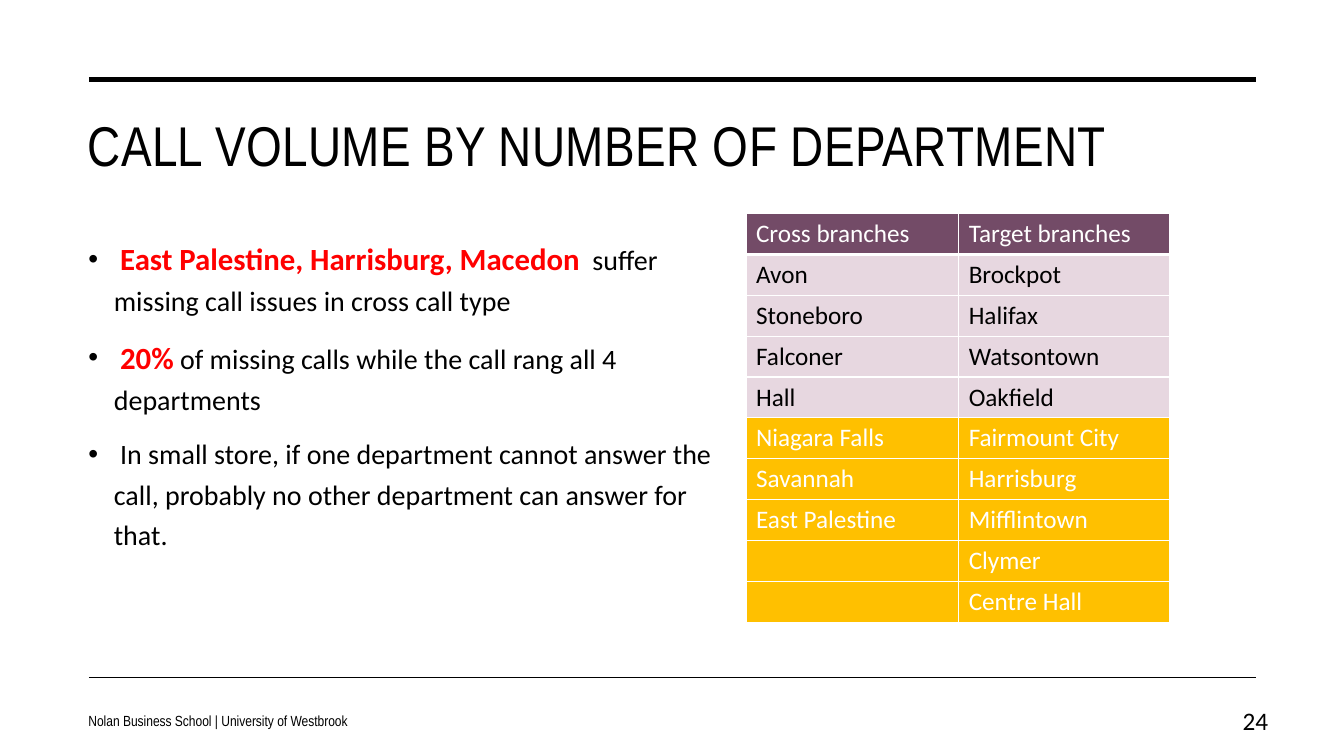
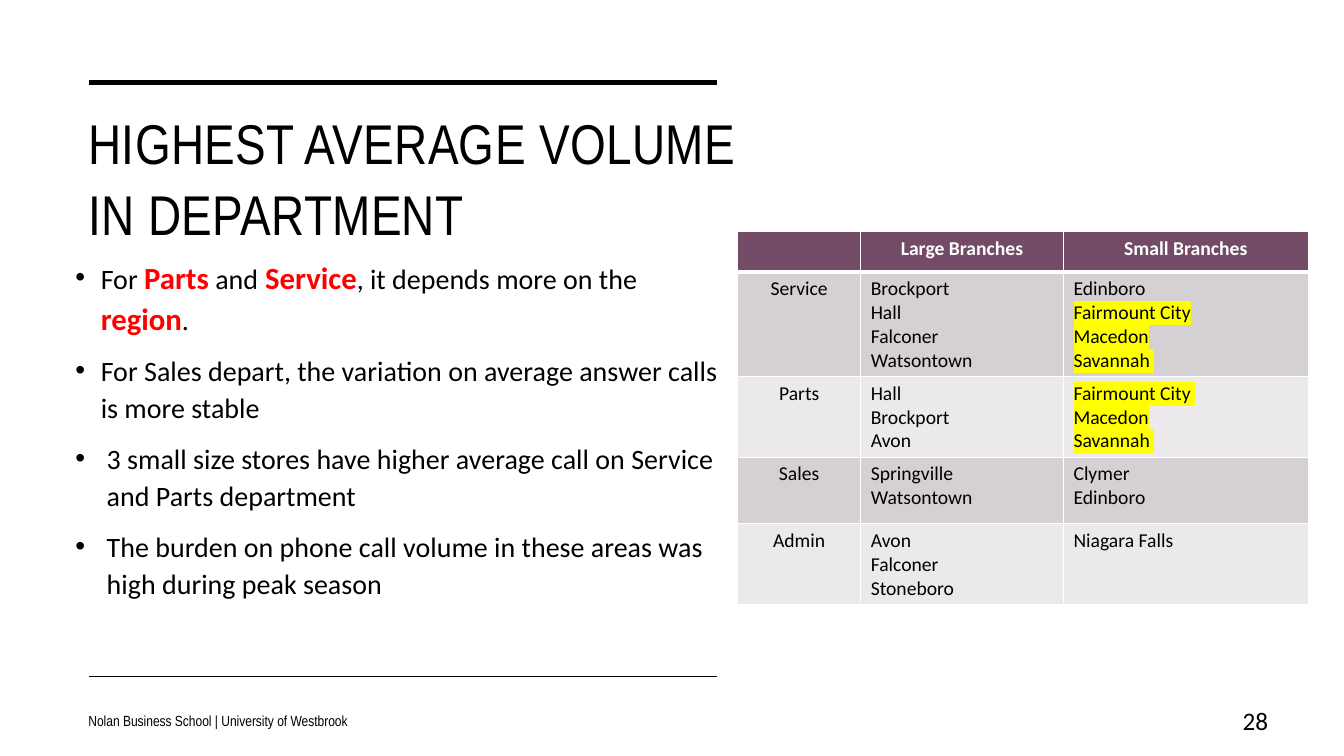
from dataclasses import dataclass

import pptx
import pptx.dml.color
import pptx.enum.shapes
import pptx.enum.text
import pptx.oxml
import pptx.oxml.ns
import pptx.util
from pptx.util import Cm, Pt

COLORS = {
    "ink": "000000",
    "paper": "FFFFFF",
    "alert": "FF0000",
    "marker": "FFFF00",
    "plum": "734B67",
    "pink": "E7D7E0",
    "amber": "FFC000",
    "mauve": "D5D0D3",
    "mist": "EBE9EB",
}
HEADING_FONT = "Arial Narrow"
TEXT_FONT = "Calibri"
INSTITUTION = "Nolan Business School | University of Westbrook"
RULE_LEFT = 2.24
FOOTER_TOP, FOOTER_HEIGHT = 17.65, 1.02
ALIGN = pptx.enum.text.PP_ALIGN


@dataclass(frozen=True)
class Box:
    """A frame in centimetres."""
    left: float
    top: float
    width: float
    height: float

    def lengths(self) -> tuple:
        return Cm(self.left), Cm(self.top), Cm(self.width), Cm(self.height)


@dataclass(frozen=True)
class Bullet:
    text: str
    indent: float = 0.64


@dataclass(frozen=True)
class Row:
    cells: tuple[str, ...]
    fill: str
    ink: str = "ink"
    height: float = 1.03


@dataclass(frozen=True)
class BranchTable:
    left: float
    top: float
    columns: tuple[float, ...]
    rows: tuple[Row, ...]
    size: float
    bold_header: bool = False
    centred_labels: bool = False


@dataclass(frozen=True)
class Page:
    number: int
    title: str
    title_box: Box
    rule_right: float
    rule_tops: tuple[float, float]
    bullets: tuple[Bullet, ...]
    bullet_box: Box
    line_spacing: float
    table: BranchTable


def rgb(name: str) -> pptx.dml.color.RGBColor:
    return pptx.dml.color.RGBColor.from_string(COLORS[name])


def add_xml(parent, markup: str) -> None:
    """Append an element of the drawing namespace, given without its declaration."""
    tag, rest = markup[:markup.index(" ")], markup[markup.index(" "):]
    parent.append(pptx.oxml.parse_xml(f"{tag} {pptx.oxml.ns.nsdecls('a')}{rest}"))


def set_font(font, face: str, size: float, color: str = "ink", bold: bool = False) -> None:
    font.name, font.size, font.bold = face, Pt(size), bold
    font.color.rgb = rgb(color)


def emphasise(run) -> None:
    set_font(run.font, TEXT_FONT, 22, "alert", True)


def highlight(run) -> None:
    add_xml(run._r.get_or_add_rPr(),
            f'<a:highlight ><a:srgbClr val="{COLORS["marker"]}"/></a:highlight>')


def write_marked(paragraph, text: str, mark) -> None:
    """Write runs, applying mark to the parts between asterisks."""
    for index, part in enumerate(text.split("*")):
        if part:
            run = paragraph.add_run()
            run.text = part
            if index % 2:
                mark(run)


def add_frame(slide, box: Box):
    frame = slide.shapes.add_textbox(*box.lengths()).text_frame
    frame.word_wrap = True
    return frame


def add_rule(slide, right: float, top: float, weight: float) -> None:
    rule = slide.shapes.add_connector(
        pptx.enum.shapes.MSO_CONNECTOR.STRAIGHT, Cm(RULE_LEFT), Cm(top), Cm(right), Cm(top))
    rule.line.color.rgb = rgb("ink")
    rule.line.width = Pt(weight)
    add_xml(rule._element.spPr, "<a:effectLst />")


def add_title(slide, text: str, box: Box) -> None:
    paragraph = add_frame(slide, box).paragraphs[0]
    paragraph.line_spacing = 1.06
    set_font(paragraph.font, HEADING_FONT, 40)
    run = paragraph.add_run()
    run.text = text
    run._r.get_or_add_rPr().set("spc", "30")


def add_bullets(slide, page: Page) -> None:
    frame = add_frame(slide, page.bullet_box)
    for index, bullet in enumerate(page.bullets):
        paragraph = frame.add_paragraph() if index else frame.paragraphs[0]
        paragraph.line_spacing = page.line_spacing
        paragraph.space_before = Pt(10)
        properties = paragraph._p.get_or_add_pPr()
        properties.set("marL", str(Cm(bullet.indent)))
        properties.set("indent", str(-Cm(bullet.indent)))
        add_xml(properties, '<a:buFont typeface="Arial"/>')
        add_xml(properties, '<a:buChar char="•"/>')
        set_font(paragraph.font, TEXT_FONT, 20)
        write_marked(paragraph, bullet.text, emphasise)


def add_borders(cell, row_index: int) -> None:
    """White cell edges, thicker between the header and the first row."""
    widths = {"L": 1, "R": 1,
              "T": 3 if row_index == 1 else 1,
              "B": 3 if row_index == 0 else 1}
    for side, width in widths.items():
        add_xml(cell._tc.get_or_add_tcPr(),
                f'<a:ln{side} w="{Pt(width)}"><a:solidFill>'
                f'<a:srgbClr val="{COLORS["paper"]}"/></a:solidFill></a:ln{side}>')


def fill_cell(cell, text: str, row: Row, table: BranchTable, header: bool, label: bool) -> None:
    cell.fill.solid()
    cell.fill.fore_color.rgb = rgb(row.fill)
    frame = cell.text_frame
    for index, line in enumerate(text.split("\n")):
        paragraph = frame.add_paragraph() if index else frame.paragraphs[0]
        set_font(paragraph.font, TEXT_FONT, table.size, row.ink, header and table.bold_header)
        if table.centred_labels and (header or label):
            paragraph.alignment = ALIGN.CENTER
        write_marked(paragraph, line, highlight)


def add_branch_table(slide, table: BranchTable) -> None:
    box = Box(table.left, table.top, sum(table.columns), sum(row.height for row in table.rows))
    grid = slide.shapes.add_table(len(table.rows), len(table.columns), *box.lengths()).table
    grid.first_row = grid.horz_banding = False
    for column, width in zip(grid.columns, table.columns):
        column.width = Cm(width)
    for row_index, row in enumerate(table.rows):
        grid.rows[row_index].height = Cm(row.height)
        for column_index, text in enumerate(row.cells):
            cell = grid.cell(row_index, column_index)
            add_borders(cell, row_index)
            fill_cell(cell, text, row, table, row_index == 0, column_index == 0)


def add_footer_text(slide, text: str, left: float, width: float, face: str, size: float,
                    alignment) -> None:
    frame = add_frame(slide, Box(left, FOOTER_TOP, width, FOOTER_HEIGHT))
    frame.vertical_anchor = pptx.enum.text.MSO_ANCHOR.MIDDLE
    paragraph = frame.paragraphs[0]
    paragraph.text = text
    paragraph.alignment = alignment
    set_font(paragraph.font, face, size)


def add_page(deck, page: Page) -> None:
    slide = deck.slides.add_slide(deck.slide_layouts[6])
    for top, weight in zip(page.rule_tops, (3.5, 1)):
        add_rule(slide, page.rule_right, top, weight)
    add_title(slide, page.title, page.title_box)
    add_bullets(slide, page)
    add_branch_table(slide, page.table)
    add_footer_text(slide, INSTITUTION, 1.98, 12.6, HEADING_FONT, 10.5, ALIGN.LEFT)
    add_footer_text(slide, str(page.number), 30.33, 1.88, TEXT_FONT, 18, ALIGN.RIGHT)


PAGES = (
    Page(
        24, "CALL VOLUME BY NUMBER OF DEPARTMENT", Box(1.96, 2.57, 29.69, 3.81),
        31.65, (2.0, 17.07),
        (
            Bullet(" *East Palestine, Harrisburg, Macedon*  suffer missing call issues "
                   "in cross call type"),
            Bullet(" *20%* of missing calls while the call rang all 4 departments"),
            Bullet(" In small store, if one department cannot answer the call, "
                   "probably no other department can answer for that."),
        ),
        Box(1.98, 5.74, 16.23, 10.06), 1.2,
        BranchTable(18.8, 5.38, (5.36, 5.31), (
            Row(("Cross branches", "Target branches"), "plum", "paper"),
            Row(("Avon", "Brockpot"), "pink"),
            Row(("Stoneboro", "Halifax"), "pink"),
            Row(("Falconer", "Watsontown"), "pink"),
            Row(("Hall", "Oakfield"), "pink"),
            Row(("Niagara Falls", "Fairmount City"), "amber", "paper"),
            Row(("Savannah", "Harrisburg"), "amber", "paper"),
            Row(("East Palestine", "Mifflintown"), "amber", "paper"),
            Row(("", "Clymer"), "amber", "paper"),
            Row(("", "Centre Hall"), "amber", "paper"),
        ), 18),
    ),
    Page(
        28, "HIGHEST AVERAGE VOLUME IN DEPARTMENT", Box(1.98, 2.51, 18.24, 3.76),
        18.08, (2.08, 17.04),
        (
            Bullet("For *Parts* and* Service*, it depends more on the *region*."),
            Bullet("For Sales depart, the variation on average answer calls is more stable"),
            Bullet("3 small size stores have higher average call on Service "
                   "and Parts department", 0.79),
            Bullet("The burden on phone call volume in these areas was high "
                   "during peak season", 0.79),
        ),
        Box(1.65, 6.3, 17.02, 10.77), 1.1,
        BranchTable(18.59, 5.84, (3.1, 5.11, 6.17), (
            Row(("", "Large Branches", "Small Branches"), "plum", "paper", 1.02),
            Row(("Service", "Brockport\nHall\nFalconer\nWatsontown",
                 "Edinboro\n*Fairmount City*\n*Macedon*\n*Savannah *"), "mauve", height=2.31),
            Row(("Parts", "Hall\nBrockport\nAvon",
                 "*Fairmount City *\n*Macedon*\n*Savannah *"), "mist", height=1.68),
            Row(("Sales", "Springville Watsontown", "Clymer\nEdinboro"), "mauve", height=1.68),
            Row(("Admin", "Avon\nFalconer\nStoneboro", "Niagara Falls"), "mist", height=1.68),
        ), 14, bold_header=True, centred_labels=True),
    ),
)


def main() -> None:
    deck = pptx.Presentation()
    deck.slide_width, deck.slide_height = Cm(33.87), Cm(19.05)
    for page in PAGES:
        add_page(deck, page)
    deck.save("out.pptx")


if __name__ == "__main__":
    main()
